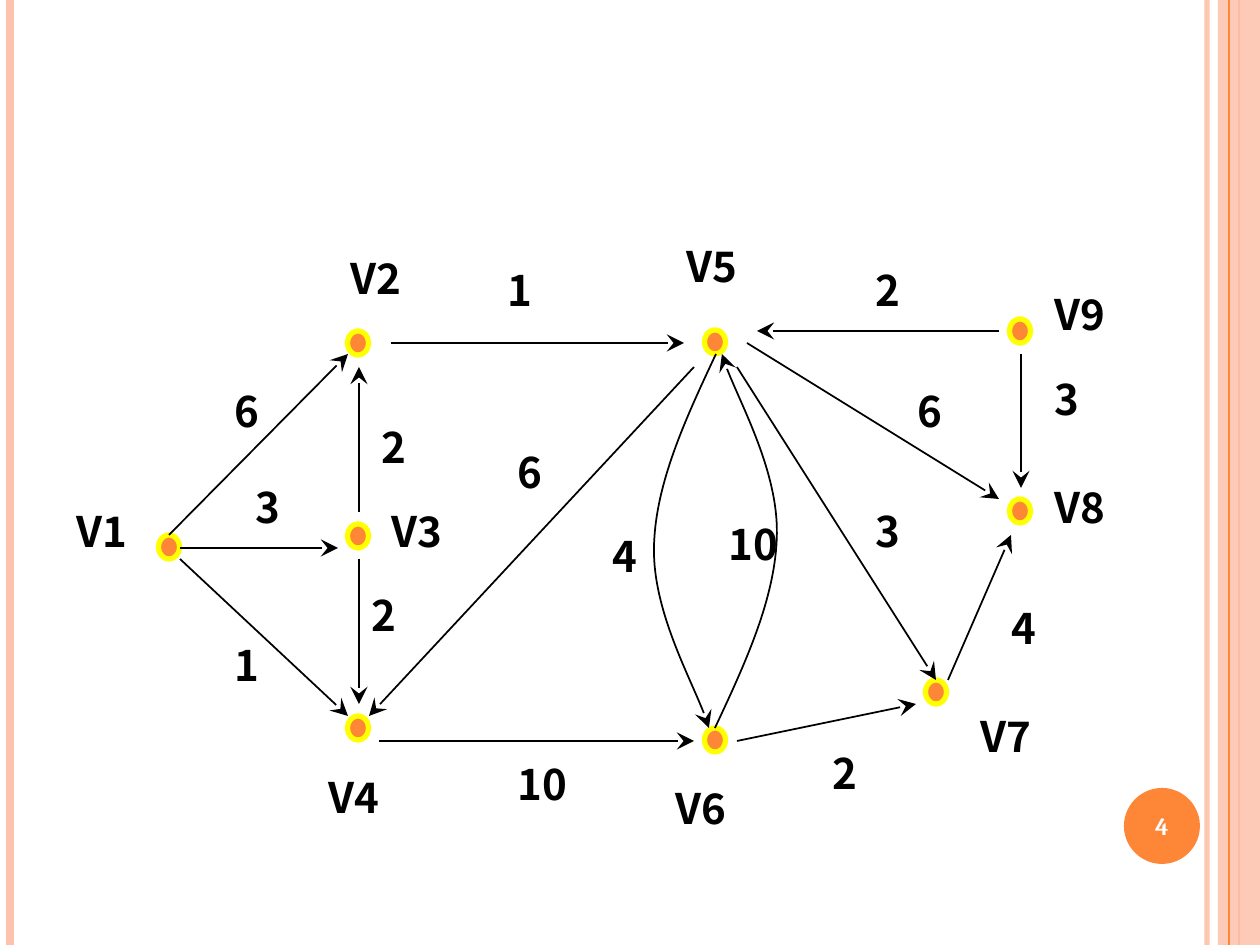
"""Build a slide with a weighted directed graph of nine vertices."""
from lxml import etree
from pptx import Presentation
from pptx import util as u
from pptx.dml.color import RGBColor
from pptx.enum import shapes as kinds, text as txt
from pptx.oxml.ns import qn

COLORS = {"orange": "FE8637", "peach": "FEC3AE", "yellow": "FFFF00",
          "black": "000000", "white": "FFFFFF"}
RAILS_BELOW = [(1207, "peach", 3, 93), (10, "peach", 4.5, 100), (1239, "orange", 1.5, 100)]
RAILS_ABOVE = [(1229, "orange", 0.75, 100)]
BAND = (1218, 0, 42, 945)
BADGE = (1124, 788, 76, 76)
PAGE_NUMBER = ("4", (1120, 790, 84, 72))
NODE_W, NODE_H = 21, 24
VERTICES = [
    ("V1", (169, 547), (64, 499)),
    ("V2", (358, 343), (338, 246)),
    ("V3", (358, 536), (379, 499)),
    ("V4", (358, 728), (316, 765)),
    ("V5", (715, 342), (674, 234)),
    ("V6", (715, 740), (663, 776)),
    ("V7", (936, 692), (968, 704)),
    ("V8", (1020, 511), (1042, 475)),
    ("V9", (1020, 331), (1042, 282)),
]
EDGES = [
    ("6", (169, 535), (348, 354), (222, 379)),
    ("3", (180, 548), (338, 548), (243, 475)),
    ("1", (180, 559), (348, 716), (222, 633)),
    ("2", (359, 512), (359, 367), (369, 415)),
    ("2", (359, 559), (359, 704), (359, 583)),
    ("1", (391, 343), (684, 343), (495, 258)),
    ("6", (694, 367), (369, 716), (505, 440)),
    ("10", (379, 741), (694, 741), (505, 752)),
    ("2", (737, 741), (916, 704), (820, 741)),
    ("4", (948, 680), (1011, 535), (999, 596)),
    ("3", (737, 367), (936, 680), (863, 499)),
    ("6", (747, 343), (999, 499), (905, 379)),
    ("2", (999, 331), (757, 331), (863, 258)),
    ("3", (1021, 354), (1021, 488), (1042, 367)),
]
DOWN_CURVE = [(716, 354), (685, 420), (655, 485), (654, 548),
              (653, 610), (701, 698), (709, 728)]
UP_CURVE = [(1431 - x, 1082 - y) for x, y in DOWN_CURVE]
CURVES = [("4", DOWN_CURVE, (600, 524)), ("10", UP_CURVE, (716, 512))]
GRAPH_FONT = {"name": "Noto Sans CJK SC", "size": u.Pt(24), "bold": True}
PAGE_FONT = {"name": "Cambria", "size": u.Pt(14), "bold": True}


def px(*lengths):
    return [round(length * 914400 / 126) for length in lengths]


def paint(target, color, opacity=100):
    target.solid()
    target.fore_color.rgb = RGBColor.from_string(COLORS[color])
    if opacity < 100:
        for rgb in target._xPr.iter(qn("a:srgbClr")):
            etree.SubElement(rgb, qn("a:alpha"), val=str(opacity * 1000))


def add_arrowhead(line):
    etree.SubElement(line._get_or_add_ln(), qn("a:tailEnd"), type="stealth", w="lg", len="lg")


def add_line(slide, start, end, color, width, opacity=100):
    connector = slide.shapes.add_connector(kinds.MSO_CONNECTOR.STRAIGHT, *px(*start, *end))
    paint(connector.line.fill, color, opacity)
    connector.line.width = u.Pt(width)
    etree.SubElement(connector._element.spPr, qn("a:effectLst"))
    return connector


def add_rails(slide, rails):
    for x, *style in rails:
        add_line(slide, (x, 0), (x, 945), *style)


def add_solid(slide, kind, box, color, opacity=100):
    solid = slide.shapes.add_shape(kind, *px(*box))
    solid.shadow.inherit = False
    paint(solid.fill, color, opacity)
    solid.line.fill.background()
    return solid


def add_curve(slide, points):
    corners = [px(*point) for point in points]
    builder = slide.shapes.build_freeform(*corners[0])
    builder.add_line_segments(corners[1:], close=False)
    curve = builder.convert_to_shape()
    curve.shadow.inherit = False
    curve.fill.background()
    paint(curve.line.fill, "black")
    curve.line.width = u.Pt(1)
    add_arrowhead(curve.line)
    segments = list(curve._element.iter(qn("a:lnTo")))
    for first in range(0, len(segments), 3):
        bezier = etree.Element(qn("a:cubicBezTo"))
        segments[first].addprevious(bezier)
        for segment in segments[first:first + 3]:
            bezier.append(segment[0])
            segment.getparent().remove(segment)


def add_label(slide, words, box, font, color, **frame_format):
    frame = slide.shapes.add_textbox(*px(*box)).text_frame
    for key, value in {"word_wrap": True, **frame_format}.items():
        setattr(frame, key, value)
    paragraph = frame.paragraphs[0]
    run = paragraph.add_run()
    run.text = words
    for key, value in font.items():
        setattr(run.font, key, value)
    run.font.color.rgb = RGBColor.from_string(COLORS[color])
    return paragraph


def main():
    deck = Presentation()
    deck.slide_width, deck.slide_height = px(1260, 945)
    slide = deck.slides.add_slide(deck.slide_layouts[6])

    add_rails(slide, RAILS_BELOW)
    add_solid(slide, kinds.MSO_SHAPE.RECTANGLE, BAND, "peach", 87)
    add_rails(slide, RAILS_ABOVE)
    add_solid(slide, kinds.MSO_SHAPE.OVAL, BADGE, "orange")

    for _, (x, y), _ in VERTICES:
        box = (x - NODE_W / 2, y - NODE_H / 2, NODE_W, NODE_H)
        node = add_solid(slide, kinds.MSO_SHAPE.OVAL, box, "orange")
        paint(node.line.fill, "yellow")
        node.line.width = u.Pt(3)
    for _, start, end, _ in EDGES:
        add_arrowhead(add_line(slide, start, end, "black", 1).line)
    for _, points, _ in CURVES:
        add_curve(slide, points)

    for name, _, corner in VERTICES:
        add_label(slide, name, (*corner, 94, 77), GRAPH_FONT, "black")
    for weight, *_, corner in EDGES + CURVES:
        width = 63 if len(weight) == 1 else 84
        add_label(slide, weight, (*corner, width, 77), GRAPH_FONT, "black")
    number, box = PAGE_NUMBER
    paragraph = add_label(slide, number, box, PAGE_FONT, "white",
                          vertical_anchor=txt.MSO_ANCHOR.MIDDLE)
    paragraph.alignment = txt.PP_ALIGN.CENTER

    deck.save("out.pptx")


if __name__ == "__main__":
    main()
